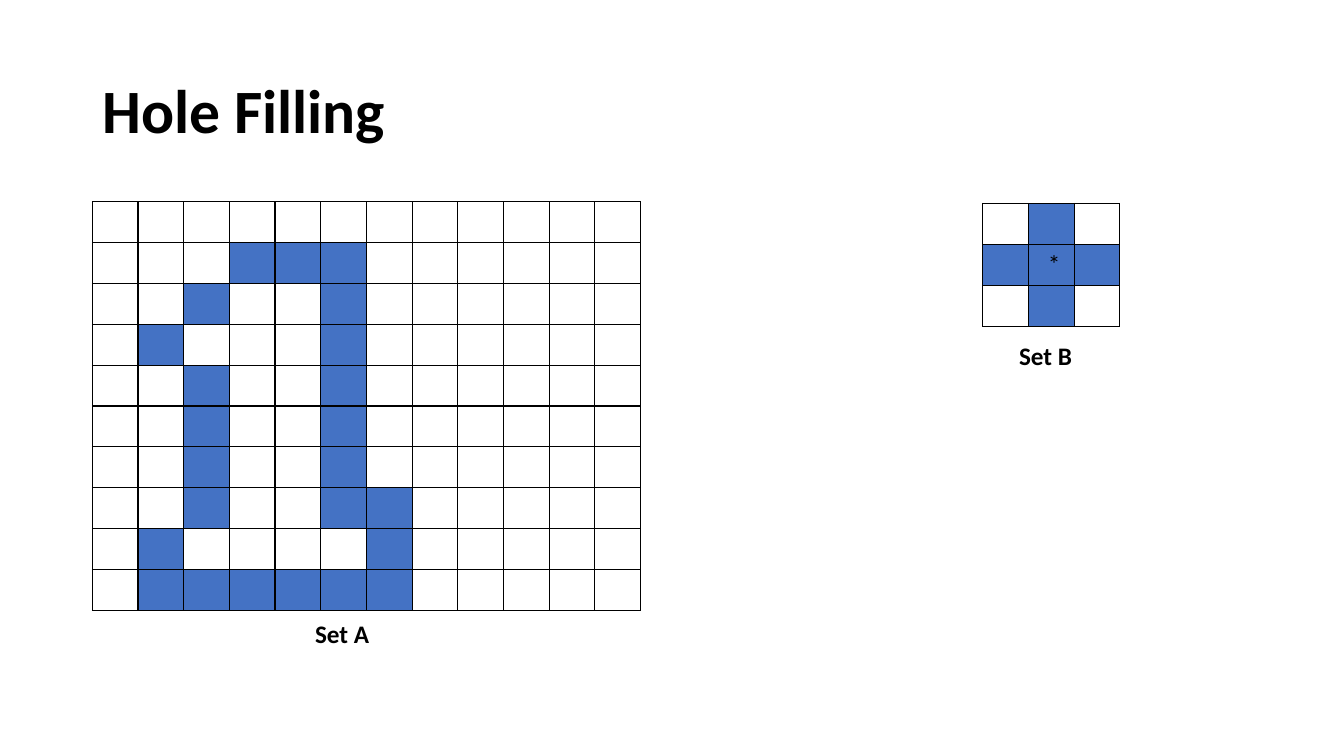
from pptx import Presentation
from pptx.dml.color import RGBColor
from pptx.enum.text import MSO_ANCHOR, MSO_AUTO_SIZE, PP_ALIGN
from pptx.oxml import parse_xml
from pptx.oxml.ns import nsdecls
from pptx.util import Pt

SET_A = [
    "............",
    "...###......",
    "..#..#......",
    ".#...#......",
    "..#..#......",
    "..#..#......",
    "..#..#......",
    "..#..##.....",
    ".#....#.....",
    ".######.....",
]
SET_B = [
    ".#.",
    "#*#",
    ".#.",
]


def color(value):
    return RGBColor.from_string(value)


class SlideBuilder:
    font = "Calibri"
    black = "000000"
    white = "FFFFFF"
    blue = "4472C4"
    cell_width = 32.64
    cell_height = 29.2

    def __init__(self, prs):
        self.s = prs.slides.add_slide(prs.slide_layouts[5])

    def style(self, p, size, align, bold=False):
        p.alignment = align
        p.font.name = self.font
        p.font.size = Pt(size)
        p.font.bold = bold
        p.font.color.rgb = color(self.black)

    def title(self, text, left, top, width, height):
        sp = self.s.shapes.title
        sp.left, sp.top, sp.width, sp.height = map(Pt, (left, top, width, height))
        tf = sp.text_frame
        tf.text = text
        tf.auto_size = MSO_AUTO_SIZE.NONE
        tf.vertical_anchor = MSO_ANCHOR.MIDDLE
        p = tf.paragraphs[0]
        p.line_spacing = 0.9
        self.style(p, 44, PP_ALIGN.LEFT, True)

    def label(self, text, left, top, width, height):
        sp = self.s.shapes.add_textbox(*map(Pt, (left, top, width, height)))
        tf = sp.text_frame
        tf.word_wrap = True
        tf.vertical_anchor = MSO_ANCHOR.MIDDLE
        tf.text = text
        self.style(tf.paragraphs[0], 18, PP_ALIGN.CENTER, True)

    def border(self, cell):
        props = cell._tc.get_or_add_tcPr()
        for i, side in enumerate("LRTB"):
            props.insert(i, parse_xml(
                f'<a:ln{side} {nsdecls("a")} w="{Pt(1)}"><a:solidFill>'
                f'<a:srgbClr val="{self.black}"/></a:solidFill></a:ln{side}>'))

    def pixel_grid(self, pattern, left, top):
        rows, cols = len(pattern), len(pattern[0])
        size = cols * self.cell_width, rows * self.cell_height
        table = self.s.shapes.add_table(
            rows, cols, Pt(left), Pt(top), *map(Pt, size)).table
        table.first_row = table.horz_banding = False
        for col in table.columns:
            col.width = Pt(self.cell_width)
        for row, marks in zip(table.rows, pattern):
            row.height = Pt(self.cell_height)
            for cell, mark in zip(row.cells, marks):
                cell.fill.solid()
                cell.fill.fore_color.rgb = color(self.white if mark == "." else self.blue)
                cell.vertical_anchor = MSO_ANCHOR.MIDDLE
                if mark == "*":
                    cell.text = " *"
                self.style(cell.text_frame.paragraphs[0], 18, PP_ALIGN.CENTER)
                self.border(cell)


def main():
    prs = Presentation()
    prs.slide_width, prs.slide_height = Pt(960), Pt(540)
    slide = SlideBuilder(prs)
    slide.title("Hole Filling", 66, 28.8, 828, 104.4)
    slide.pixel_grid(SET_A, 66, 144)
    slide.pixel_grid(SET_B, 702, 145.4)
    slide.label(" Set A ", 176.4, 416.2, 136, 72)
    slide.label(" Set B", 676.8, 218.2, 136, 72)
    prs.save("out.pptx")


if __name__ == "__main__":
    main()
